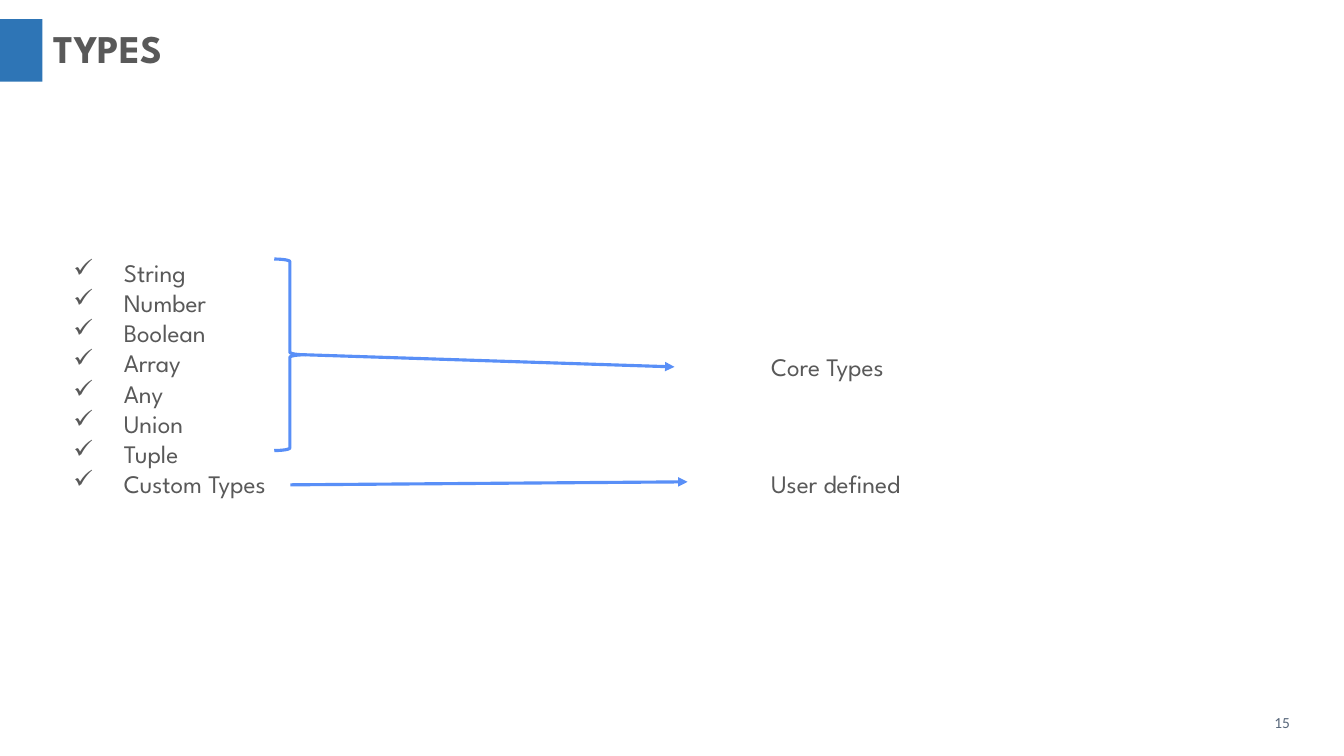
"""Build the slide that sorts types into core and user defined ones."""
from lxml.etree import SubElement
from pptx import Presentation
from pptx.dml.color import RGBColor
from pptx.enum.shapes import MSO_CONNECTOR, MSO_SHAPE
from pptx.enum.text import MSO_ANCHOR, MSO_AUTO_SIZE
from pptx.oxml.ns import qn
from pptx.util import Pt

PX = 9144
FONT = "League Spartan"
GREY, BLUE, ACCENT, SLATE = "595959", "598FF7", "2E75B6", "58677B"
LINE_WIDTH = 2.25

TITLE = ("TYPES", (43, 24, 1291, 55))
TYPES = ["String", "Number", "Boolean", "Array", "Any", "Union", "Tuple", "Custom Types"]
TYPES_BOX = (63, 249, 1207, 252)
INDENT = 50
LABELS = [("Core Types", (755, 344, 289, 40)), ("User defined", (755, 460, 393, 40))]
PAGE_NUMBER = ("15", (1254, 703, 45, 29))
ACCENT_BOX = (0, 19, 42, 62)
BRACE_BOX = (272, 257, 31, 190)
ARROWS = [(288, 481, 682, 478), (303, 352, 669, 364)]


def px(values):
    return [v * PX for v in values]


def rgb(color):
    return RGBColor.from_string(color)


def add_text(slide, lines, box, size=18, color=GREY, font=FONT, bold=False):
    tf = slide.shapes.add_textbox(*px(box)).text_frame
    tf.word_wrap = True
    for i, line in enumerate(lines):
        p = tf.add_paragraph() if i else tf.paragraphs[0]
        r = p.add_run()
        r.text = line
        r.font.size = Pt(size)
        r.font.name = font
        r.font.bold = bold
        r.font.color.rgb = rgb(color)
    return tf


def add_checks(tf):
    for p in tf.paragraphs:
        pPr = p._p.get_or_add_pPr()
        pPr.set("marL", str(INDENT * PX))
        pPr.set("indent", str(-INDENT * PX))
        SubElement(pPr, qn("a:buChar"), char="✓")


def add_shape(slide, kind, box):
    sp = slide.shapes.add_shape(kind, *px(box))
    sp.shadow.inherit = False
    return sp


def add_arrow(slide, ends):
    line = slide.shapes.add_connector(MSO_CONNECTOR.STRAIGHT, *px(ends))
    line.line.color.rgb = rgb(BLUE)
    line.line.width = Pt(LINE_WIDTH)
    SubElement(line.line._get_or_add_ln(), qn("a:tailEnd"), type="triangle")
    SubElement(line._element.spPr, qn("a:effectLst"))


def main():
    prs = Presentation()
    prs.slide_width, prs.slide_height = px((1333, 750))
    slide = prs.slides.add_slide(prs.slide_layouts[6])

    number, box = PAGE_NUMBER
    add_text(slide, [number], box, 11, SLATE, "Calibri")

    accent = add_shape(slide, MSO_SHAPE.RECTANGLE, ACCENT_BOX)
    accent.fill.solid()
    accent.fill.fore_color.rgb = rgb(ACCENT)
    accent.line.fill.background()

    title, box = TITLE
    p = add_text(slide, [title], box, 28, bold=True).paragraphs[0]
    p.line_spacing = 0.9
    p.space_before = Pt(10)

    tf = add_text(slide, TYPES, TYPES_BOX)
    tf.vertical_anchor = MSO_ANCHOR.MIDDLE
    tf.auto_size = MSO_AUTO_SIZE.SHAPE_TO_FIT_TEXT
    add_checks(tf)

    brace = add_shape(slide, MSO_SHAPE.RIGHT_BRACE, BRACE_BOX)
    brace.fill.background()
    brace.line.color.rgb = rgb(BLUE)
    brace.line.width = Pt(LINE_WIDTH)

    for label, box in LABELS:
        add_text(slide, [label], box)
    for ends in ARROWS:
        add_arrow(slide, ends)

    prs.save("out.pptx")


if __name__ == "__main__":
    main()
